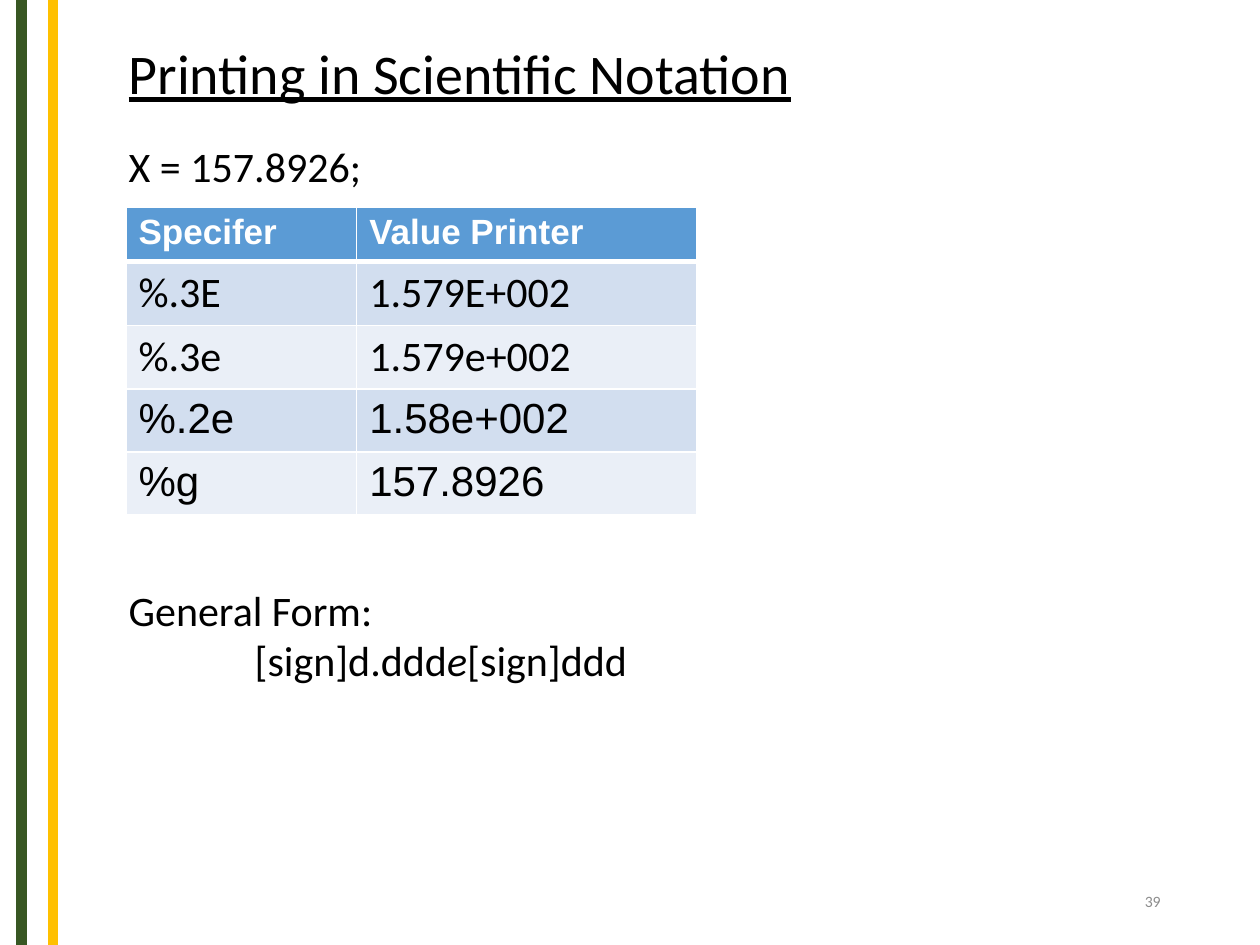
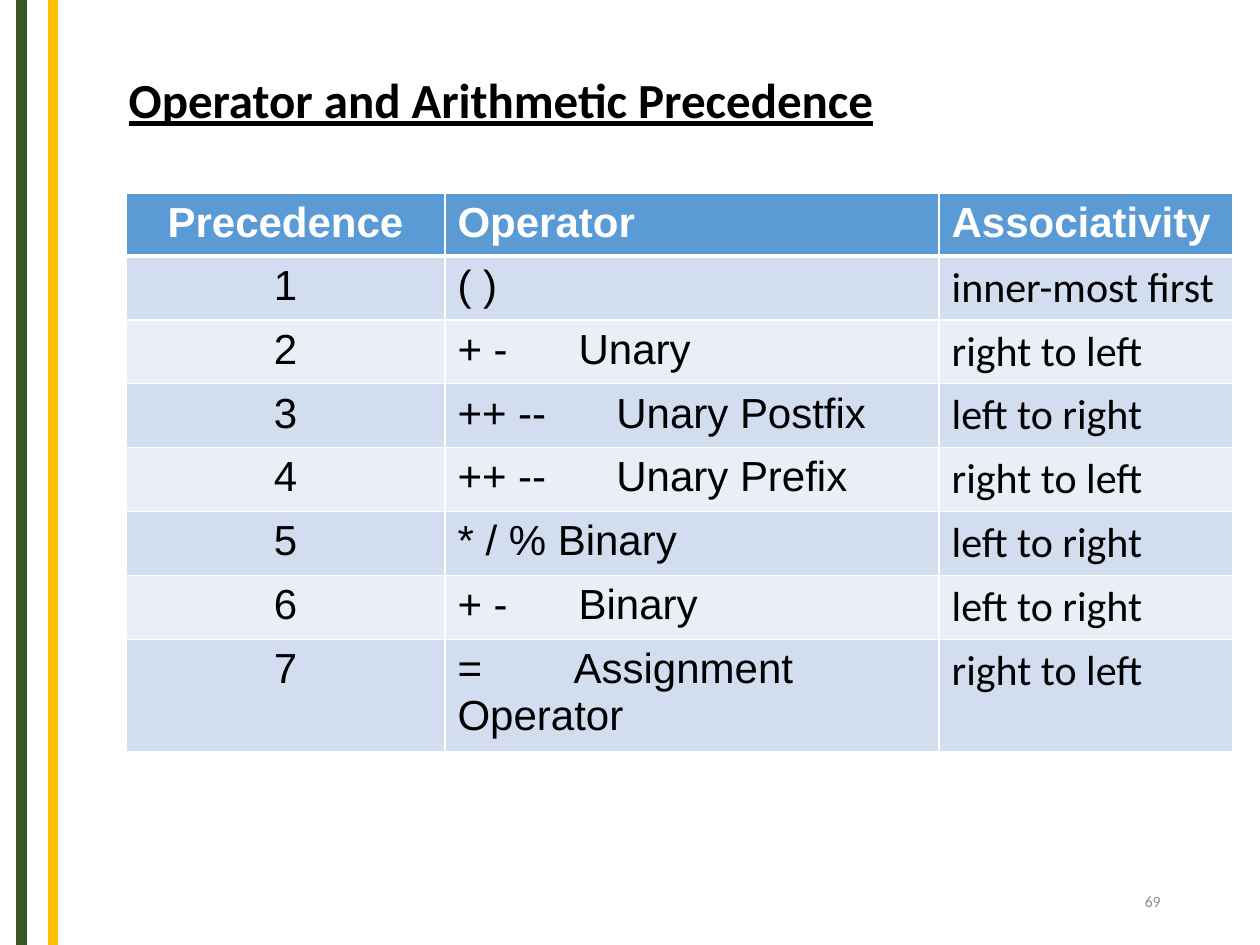
from dataclasses import dataclass
from typing import Any, Optional

import lxml.etree
import pptx
import pptx.dml.color
import pptx.enum.shapes
import pptx.enum.text
import pptx.oxml.ns
import pptx.util

Cm, Pt = pptx.util.Cm, pptx.util.Pt
Align = pptx.enum.text.PP_ALIGN
Anchor = pptx.enum.text.MSO_ANCHOR
qn = pptx.oxml.ns.qn

# Shared look
BLACK, WHITE, GREY = "000000", "FFFFFF", "8C8C8C"
HEADER_FILL = "5B9BD5"
BAND_FILLS = ("D2DEEF", "EAEFF7")
SANS, HUMANIST = "Arial", "Calibri"
TEXT_LEFT = 2.34
TABLE_LEFT = 2.54
ROW_HEIGHT = 1.27
TITLE_ONLY, TITLE_AND_BODY = 5, 1


@dataclass
class Style:
    size: float
    font: str = HUMANIST
    color: str = BLACK
    bold: bool = False
    italic: bool = False
    underline: bool = False


@dataclass
class Stripe:
    x: float
    color: str


@dataclass
class Cell:
    text: str
    style: Style
    align: Any = Align.LEFT
    tab: Optional[float] = None


@dataclass
class Table:
    top: float
    widths: list[float]
    heights: list[float]
    rows: list[list[Cell]]


STRIPES = (Stripe(0.43, "385723"), Stripe(1.07, "FFC000"))
BODY = Style(24)
BODY_ITALIC = Style(24, italic=True)
BODY_SANS = Style(24, SANS)


def rgb(color: str) -> pptx.dml.color.RGBColor:
    return pptx.dml.color.RGBColor.from_string(color)


# Text helpers
def add_run(p: Any, text: str, style: Style) -> None:
    r = p.add_run()
    r.text = text
    f = r.font
    f.size, f.name, f.color.rgb = Pt(style.size), style.font, rgb(style.color)
    f.bold, f.italic, f.underline = style.bold, style.italic, style.underline


def place(sp: Any, left: float, top: float, width: float, height: float) -> None:
    sp.left, sp.top, sp.width, sp.height = map(Cm, (left, top, width, height))


def prepare_frame(tf: Any, anchor: Any) -> None:
    tf.word_wrap = True
    tf.auto_size = pptx.enum.text.MSO_AUTO_SIZE.NONE
    tf.vertical_anchor = anchor


def format_plain(p: Any, indent: float = 0, before: float = 0) -> None:
    """Left-aligned paragraph without bullet."""
    p.alignment = Align.LEFT
    p.space_before = Pt(before)
    pPr = p._p.get_or_add_pPr()
    pPr.set("marL", str(Cm(indent)))
    pPr.set("indent", "0")
    lxml.etree.SubElement(pPr, qn("a:buNone"))


def add_tab_stop(p: Any, pos: float) -> None:
    tabs = lxml.etree.SubElement(p._p.get_or_add_pPr(), qn("a:tabLst"))
    lxml.etree.SubElement(tabs, qn("a:tab"), pos=str(Cm(pos)), algn="l")


# Slide frame: stripes, title and number
def add_stripe(s: Any, stripe: Stripe, height: int) -> None:
    x = Cm(stripe.x)
    line = s.shapes.add_connector(
        pptx.enum.shapes.MSO_CONNECTOR.STRAIGHT, x, 0, x, height)
    line.line.color.rgb = rgb(stripe.color)
    line.line.width = Pt(6)
    lxml.etree.SubElement(line._element.spPr, qn("a:effectLst"))


def start_slide(prs: Any, layout: int, title: str, style: Style,
                top: float, number: int) -> Any:
    s = prs.slides.add_slide(prs.slide_layouts[layout])
    for stripe in STRIPES:
        add_stripe(s, stripe, prs.slide_height)

    sp = s.shapes.title
    place(sp, TEXT_LEFT, top, 20.52, 1.8)
    prepare_frame(sp.text_frame, Anchor.TOP)
    p = sp.text_frame.paragraphs[0]
    format_plain(p)
    add_run(p, title, style)

    box = s.shapes.add_textbox(Cm(17.93), Cm(17.65), Cm(5.72), Cm(1.02))
    prepare_frame(box.text_frame, Anchor.MIDDLE)
    p = box.text_frame.paragraphs[0]
    p.alignment = Align.RIGHT
    add_run(p, str(number), Style(9, color=GREY))
    return s


# Tables
def set_borders(cell: Any, top: float, bottom: float) -> None:
    tcPr = cell._tc.get_or_add_tcPr()
    for side, width in (("L", 1), ("R", 1), ("T", top), ("B", bottom)):
        ln = lxml.etree.SubElement(tcPr, qn(f"a:ln{side}"), w=str(Pt(width)))
        fill = lxml.etree.SubElement(ln, qn("a:solidFill"))
        lxml.etree.SubElement(fill, qn("a:srgbClr"), val=WHITE)


def draw_table(s: Any, spec_table: Table) -> None:
    t = spec_table
    table = s.shapes.add_table(
        len(t.rows), len(t.widths), Cm(TABLE_LEFT), Cm(t.top),
        Cm(sum(t.widths)), Cm(sum(t.heights))).table
    for column, width in zip(table.columns, t.widths):
        column.width = Cm(width)
    for i, (row, height) in enumerate(zip(t.rows, t.heights)):
        table.rows[i].height = Cm(height)
        for j, content in enumerate(row):
            cell = table.cell(i, j)
            set_borders(cell, 3 if i == 1 else 1, 3 if i == 0 else 1)
            cell.fill.solid()
            color = BAND_FILLS[(i - 1) % 2] if i else HEADER_FILL
            cell.fill.fore_color.rgb = rgb(color)
            p = cell.text_frame.paragraphs[0]
            p.alignment = content.align
            if content.tab:
                add_tab_stop(p, content.tab)
            add_run(p, content.text, content.style)


# Slides
def build_scientific_notation(prs: Any) -> None:
    s = start_slide(prs, TITLE_AND_BODY, "Printing in Scientific Notation",
                    Style(32, underline=True), 0.64, 39)

    # The gap before the general form leaves room for the table
    sp = s.placeholders[1]
    place(sp, TEXT_LEFT, 2.7, 14.02, 11.2)
    tf = sp.text_frame
    prepare_frame(tf, Anchor.TOP)
    paragraphs = (
        (0, 0, [("X = 157.8926;", BODY)]),
        (0, 225, [("General Form:", BODY)]),
        (2.54, 0, [("[sign]d.ddd", BODY), ("e", BODY_ITALIC),
                   ("[sign]ddd", BODY)]),
    )
    for i, (indent, before, runs) in enumerate(paragraphs):
        p = tf.add_paragraph() if i else tf.paragraphs[0]
        format_plain(p, indent, before)
        for text, style in runs:
            add_run(p, text, style)

    header = Style(20, SANS, WHITE, bold=True)
    lines = (
        ("Specifer", "Value Printer", header),
        ("%.3E", "1.579E+002", BODY),
        ("%.3e", "1.579e+002", BODY),
        ("%.2e", "1.58e+002", BODY_SANS),
        ("%g", "157.8926", BODY_SANS),
    )
    rows = [[Cell(specifier, style), Cell(value, style)]
            for specifier, value, style in lines]
    draw_table(s, Table(4.17, [4.65, 6.85], [1.1] + [ROW_HEIGHT] * 4, rows))


def build_precedence(prs: Any) -> None:
    s = start_slide(prs, TITLE_ONLY, "Operator and Arithmetic Precedence",
                    Style(28, bold=True, underline=True), 1.27, 69)

    header = Style(24, SANS, WHITE, bold=True)
    rows = [[Cell("Precedence", header, Align.CENTER),
             Cell("Operator", header), Cell("Associativity", header)]]
    operators = (
        ("( )", None, "inner-most first"),
        ("+ -\tUnary", 2.44, "right to left"),
        ("++ --\tUnary Postfix", 3.2, "left to right"),
        ("++ --\tUnary Prefix", 3.2, "right to left"),
        ("* / % Binary", None, "left to right"),
        ("+ -\tBinary", 2.44, "left to right"),
        ("=\tAssignment Operator", 2.34, "right to left"),
    )
    for level, (operator, tab, associativity) in enumerate(operators, 1):
        rows.append([Cell(str(level), BODY_SANS, Align.CENTER),
                     Cell(operator, BODY_SANS, tab=tab),
                     Cell(associativity, BODY)])
    draw_table(s, Table(3.89, [6.43, 9.96, 5.92],
                        [ROW_HEIGHT] * 7 + [2.27], rows))


def main() -> None:
    prs = pptx.Presentation()
    prs.slide_width, prs.slide_height = Cm(25.4), Cm(19.05)
    build_scientific_notation(prs)
    build_precedence(prs)
    prs.save("out.pptx")


if __name__ == "__main__":
    main()
